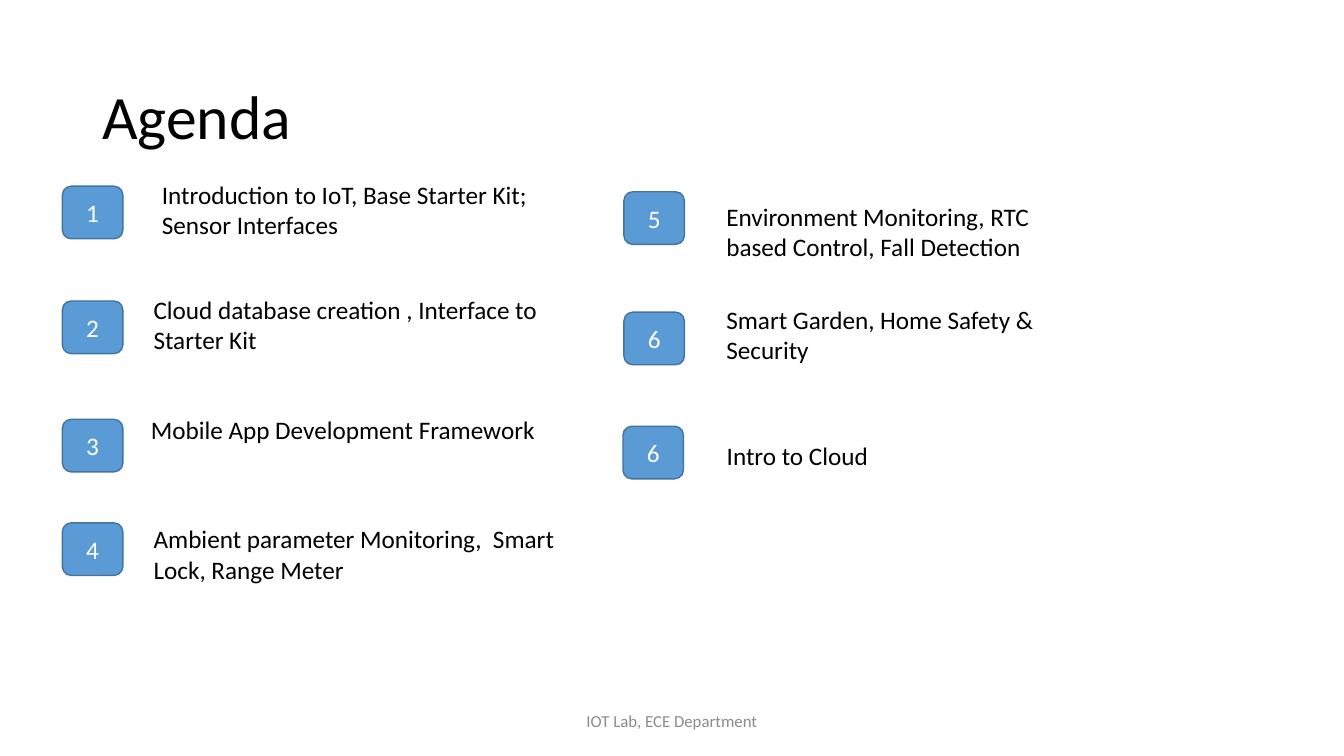
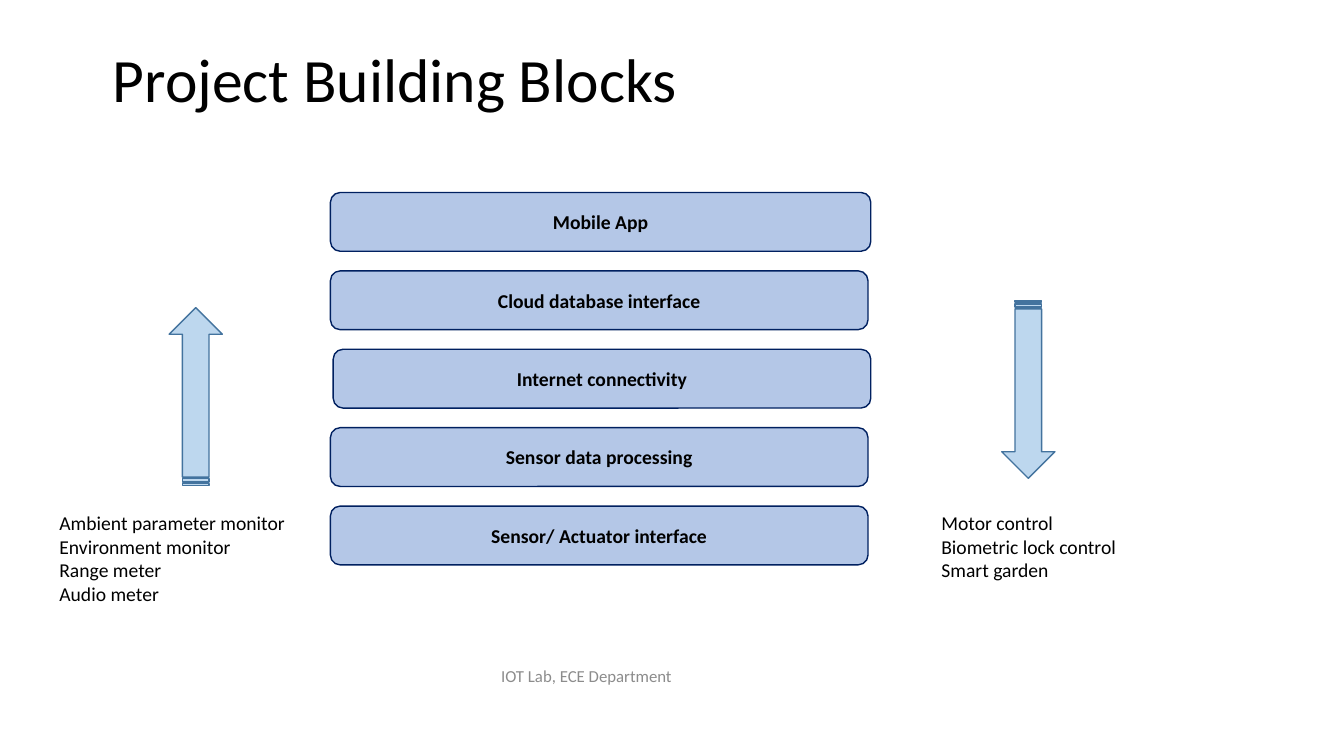
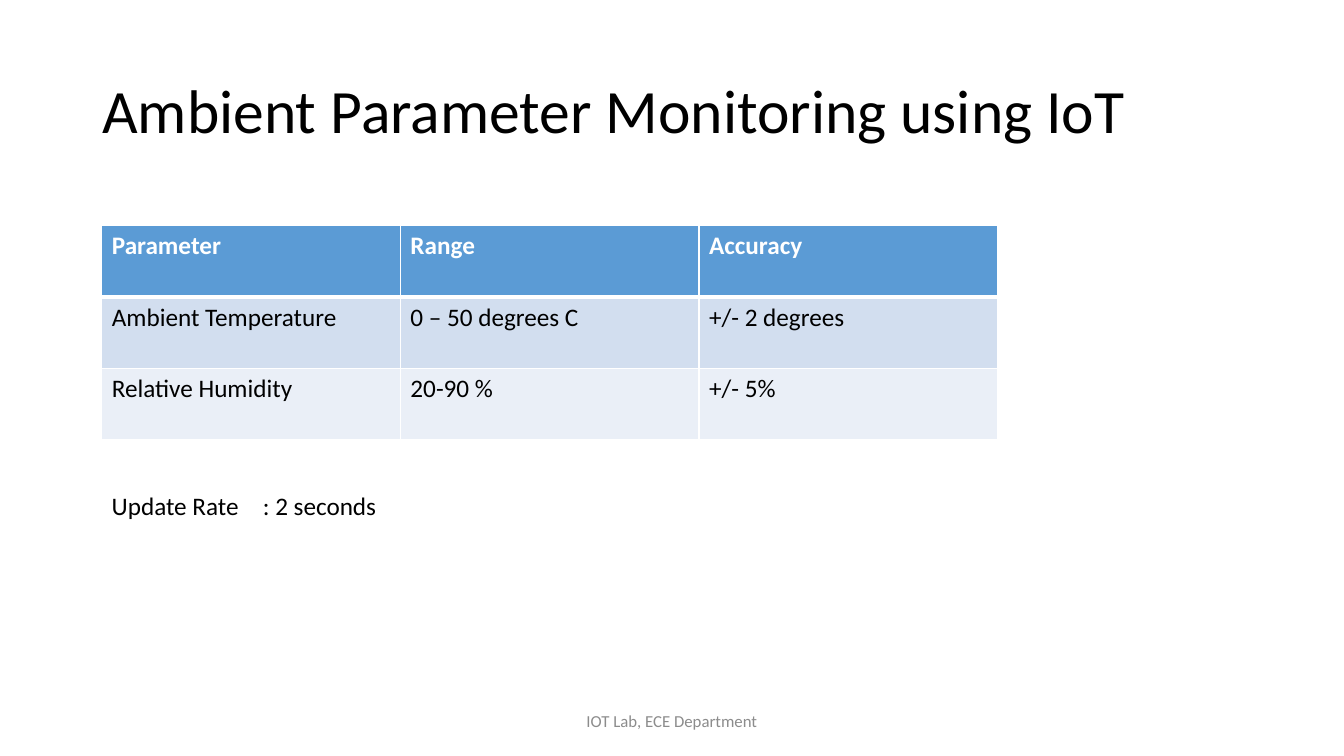
import dataclasses

import lxml.etree
import pptx
import pptx.dml.color
import pptx.enum.shapes
import pptx.enum.text
import pptx.oxml.ns
import pptx.util

Pt = pptx.util.Pt
SHAPE = pptx.enum.shapes.MSO_SHAPE
ALIGN = pptx.enum.text.PP_ALIGN
ANCHOR = pptx.enum.text.MSO_ANCHOR


@dataclasses.dataclass(frozen=True)
class Theme:
    font: str = "Calibri"
    black: str = "000000"
    white: str = "FFFFFF"
    muted: str = "8C8C8C"
    accent: str = "5B9BD5"
    accent_line: str = "43739E"
    block: str = "B4C7E7"
    block_line: str = "002060"
    arrow: str = "BDD7EE"
    bands: tuple = ("D2DEEF", "EAEFF7")
    title_size: int = 44
    body_size: int = 18
    label_size: int = 14
    footer_size: int = 12


THEME = Theme()
FOOTER = "IOT Lab, ECE Department"


def rgb(color):
    return pptx.dml.color.RGBColor.from_string(color)


def write(tf, lines, size, color=THEME.black, bold=False, align=ALIGN.LEFT, spacing=None):
    for i, line in enumerate(lines):
        p = tf.paragraphs[0] if i == 0 else tf.add_paragraph()
        p.alignment = align
        p.line_spacing = spacing
        r = p.add_run()
        r.text = line
        r.font.name = THEME.font
        r.font.size = Pt(size)
        r.font.bold = bold
        r.font.color.rgb = rgb(color)


def add_text(slide, box, lines, size, anchor=ANCHOR.TOP, **style):
    sp = slide.shapes.add_textbox(*map(Pt, box))
    tf = sp.text_frame
    tf.word_wrap = True
    tf.vertical_anchor = anchor
    write(tf, lines, size, **style)


def add_shape(slide, kind, box, fill, line):
    sp = slide.shapes.add_shape(kind, *map(Pt, box))
    sp.shadow.inherit = False
    sp.fill.solid()
    sp.fill.fore_color.rgb = rgb(fill)
    sp.line.color.rgb = rgb(line)
    sp.line.width = Pt(1)
    return sp


def add_label_box(slide, box, text, fill, line, size, color, bold=False):
    sp = add_shape(slide, SHAPE.ROUNDED_RECTANGLE, box, fill, line)
    tf = sp.text_frame
    tf.word_wrap = True
    tf.vertical_anchor = ANCHOR.MIDDLE
    write(tf, [text], size, color, bold, ALIGN.CENTER)


def add_frame(prs, title, title_at, footer_at=(318, 500.5)):
    slide = prs.slides.add_slide(prs.slide_layouts[6])
    add_text(slide, (*title_at, 828, 104.4), [title], THEME.title_size,
             ANCHOR.MIDDLE, spacing=0.9)
    add_text(slide, (*footer_at, 324, 28.8), [FOOTER], THEME.footer_size,
             ANCHOR.MIDDLE, color=THEME.muted, align=ALIGN.CENTER)
    return slide


def add_agenda_item(slide, x, y, number, dx, dy, width, lines):
    add_label_box(slide, (x, y, 43.2, 37.6), number, THEME.accent,
                  THEME.accent_line, THEME.body_size, THEME.white)
    add_text(slide, (x + dx, y + dy, width, 51), lines, THEME.body_size)


def add_stack(slide, x, y, labels):
    for i, (label, inset, width) in enumerate(labels):
        add_label_box(slide, (x + inset, y + i * 56, width, 42), label, THEME.block,
                      THEME.block_line, THEME.label_size, THEME.black, True)


def add_flow(slide, arrow_at, rotation, text_at, lines):
    sp = add_shape(slide, SHAPE.STRIPED_RIGHT_ARROW, (*arrow_at, 127, 38),
                   THEME.arrow, THEME.accent_line)
    sp.rotation = rotation
    add_text(slide, (*text_at, 193, 75), lines, THEME.label_size)


def add_border(cell, side, width):
    tag = pptx.oxml.ns.qn
    ln = lxml.etree.SubElement(cell._tc.get_or_add_tcPr(), tag("a:" + side), w=str(Pt(width)))
    fill = lxml.etree.SubElement(ln, tag("a:solidFill"))
    lxml.etree.SubElement(fill, tag("a:srgbClr"), val=THEME.white)


def add_grid(slide, box, rows):
    table = slide.shapes.add_table(len(rows), len(rows[0]), *map(Pt, box)).table
    for i, row in enumerate(rows):
        head = i == 0
        for j, text in enumerate(row):
            cell = table.cell(i, j)
            for side in ("lnL", "lnR", "lnT", "lnB"):
                heavy = (head and side == "lnB") or (i == 1 and side == "lnT")
                add_border(cell, side, 3 if heavy else 1)
            cell.fill.solid()
            cell.fill.fore_color.rgb = rgb(THEME.accent if head else THEME.bands[(i - 1) % 2])
            write(cell.text_frame, [text], THEME.body_size,
                  THEME.white if head else THEME.black, head)


def build_agenda(prs):
    slide = add_frame(prs, "Agenda", (66, 33))
    items = (
        (44.6, 133, "1", 64, -8.5, 327,
         ["Introduction to IoT, Base Starter Kit;", "Sensor Interfaces"]),
        (44.6, 215, "2", 58, -8.5, 327, ["Cloud database creation , Interface to Starter Kit"]),
        (44.6, 299.5, "3", 56, -7, 312, ["Mobile App Development Framework"]),
        (44.6, 373.5, "4", 58, -3, 312, ["Ambient parameter Monitoring,  Smart Lock, Range Meter"]),
        (445.7, 137, "5", 66, 3, 275,
         ["Environment Monitoring, RTC based Control, Fall Detection"]),
        (445.7, 223, "6", 66, -9.5, 275, ["Smart Garden, Home Safety & Security"]),
        (445, 304.5, "6", 67, 6.5, 275, ["Intro to Cloud"]),
    )
    for item in items:
        add_agenda_item(slide, *item)


def build_blocks(prs):
    slide = add_frame(prs, "Project Building Blocks", (73.5, 7), (257, 468.5))
    add_stack(slide, 236, 137.5, (
        ("Mobile App", 0, 386),
        ("Cloud database interface", 0, 384),
        ("Internet connectivity", 2, 384),
        ("Sensor data processing", 0, 384),
        ("Sensor/ Actuator interface", 0, 384),
    ))
    add_flow(slide, (76.3, 264.2), 270, (35.3, 361.5),
             ["Ambient parameter monitor", "Environment monitor", "Range meter", "Audio meter"])
    add_flow(slide, (671, 259.2), 90, (665.3, 361.5),
             ["Motor control", "Biometric lock control", "Smart garden"])


def build_monitoring(prs):
    slide = add_frame(prs, "Ambient Parameter Monitoring using IoT", (66, 29))
    add_grid(slide, (72.7, 161.3, 640, 153), (
        ("Parameter", "Range", "Accuracy"),
        ("Ambient Temperature", "0 – 50 degrees C", "+/- 2 degrees"),
        ("Relative Humidity", "20-90 %", "+/- 5%"),
    ))
    add_text(slide, (72.7, 347, 535, 29), ["Update Rate \t: 2 seconds"], THEME.body_size)


def main():
    prs = pptx.Presentation()
    prs.slide_width = Pt(960)
    prs.slide_height = Pt(540)
    build_agenda(prs)
    build_blocks(prs)
    build_monitoring(prs)
    prs.save("out.pptx")


if __name__ == "__main__":
    main()
